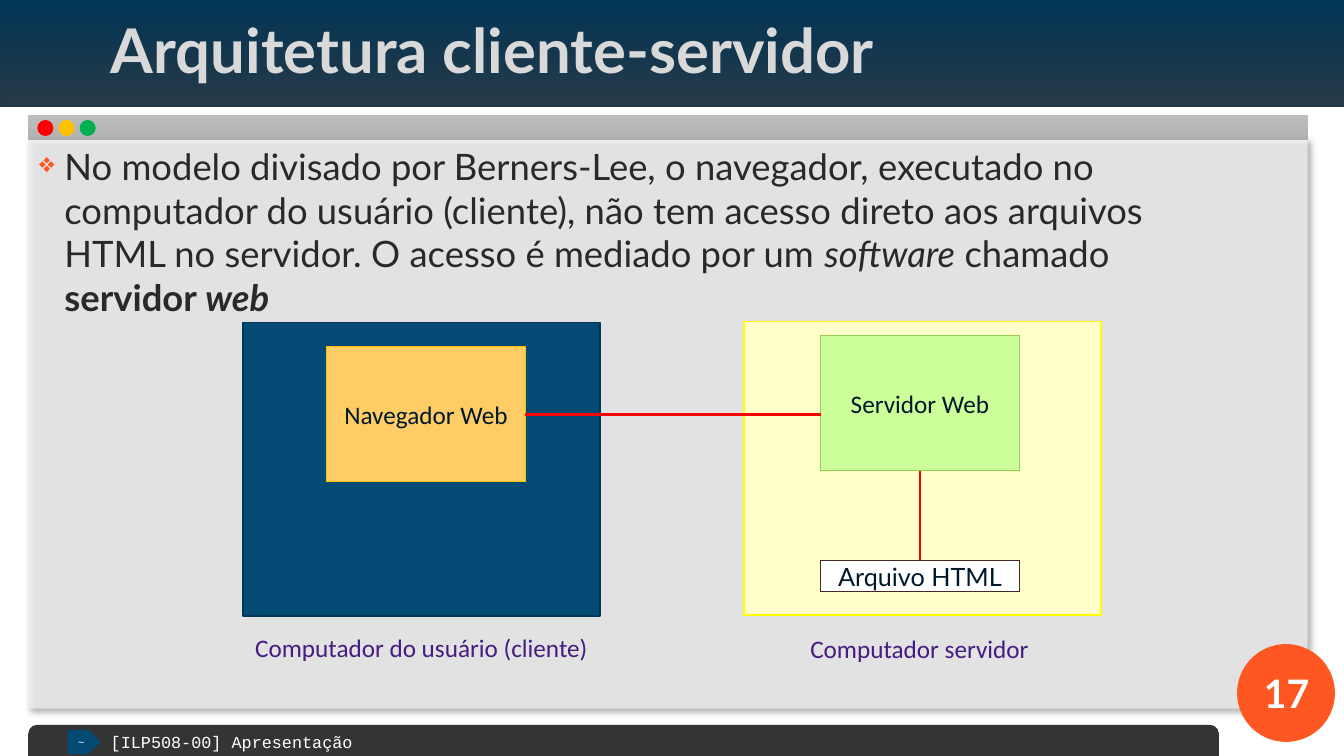
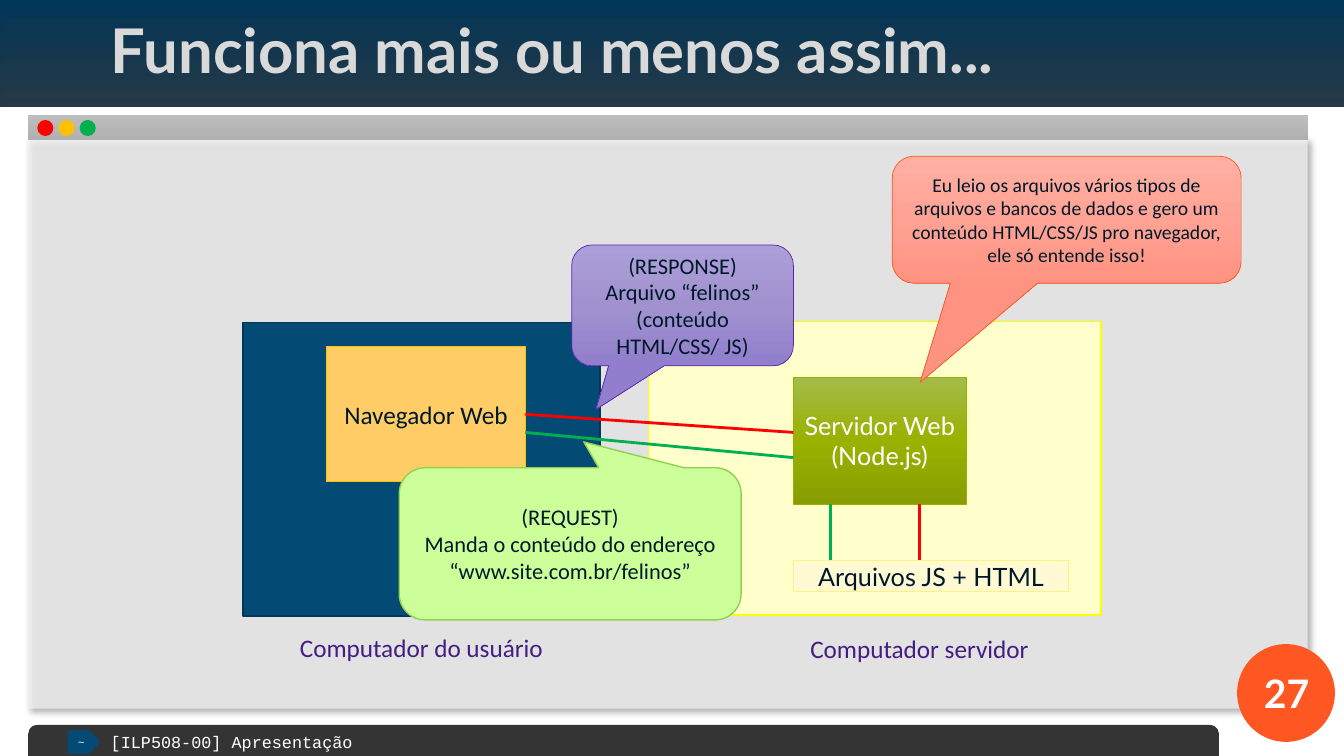
import dataclasses

import lxml.etree
import pptx
import pptx.dml.color
import pptx.enum.shapes
import pptx.enum.text
import pptx.oxml.ns
import pptx.util

Inches = pptx.util.Inches
Pt = pptx.util.Pt
qn = pptx.oxml.ns.qn
KIND = pptx.enum.shapes.MSO_SHAPE
ALIGN = pptx.enum.text.PP_ALIGN
ANCHOR = pptx.enum.text.MSO_ANCHOR


@dataclasses.dataclass(frozen=True)
class Theme:
    # Fonts
    main: str = "Lato"
    plain: str = "Calibri"
    code: str = "Courier New"
    # Type sizes
    title: int = 44
    page: int = 28
    body: int = 26
    label: int = 18
    speech: int = 16
    note: int = 14
    foot: int = 12
    tiny: int = 8
    # Colours
    white: str = "FFFFFF"
    ink: str = "001929"
    text: str = "292929"
    light: str = "D9D9D9"
    pane: str = "F2F2F2"
    dark: str = "111111"
    navy: str = "034A75"
    edge: str = "023757"
    accent: str = "FF5722"
    purple: str = "441C82"
    red: str = "FF0000"
    amber: str = "FFC000"
    green: str = "00B050"
    cream: str = "FFFFCC"
    yellow: str = "FFFF00"
    orange: str = "FFCC66"
    lime: str = "CCFF99"
    leaf: str = "92D050"
    brown: str = "44281F"
    butter: str = "FFFAD3"
    gold: str = "FFF17A"
    olive: str = "99B200"
    violet: str = "5B25AE"
    # Gradients: position, colour and, where needed, opacity
    band: tuple = ((0, "003658"), (100, "001929", 85))
    bar: tuple = ((0, "BFBFBF"), (100, "A6A6A6", 85))
    moss: tuple = ((0, "A4BB4B"), (50, "99B200"), (100, "889E00"))
    coral: tuple = ((0, "FFB0A3"), (50, "FFA294"), (100, "FF9381"))
    lilac: tuple = ((0, "AC9FD9"), (50, "A192CF"), (100, "917ECC"))


T = Theme()


# Basic helpers
def rgb(code):
    return pptx.dml.color.RGBColor.from_string(code)


def apply(item, values):
    for name, value in values.items():
        setattr(item, name, value)


def node(parent, tag, **values):
    child = lxml.etree.SubElement(parent, qn(tag))
    for name, value in values.items():
        child.set(name, str(value))
    return child


def tint(parent, code, alpha=100):
    color = node(parent, "a:srgbClr", val=code)
    if alpha < 100:
        node(color, "a:alpha", val=alpha * 1000)


def style(font, size, color, face=T.main, **more):
    apply(font, {"size": Pt(size), "name": face, **more})
    font.color.rgb = rgb(color)


def blend(shape, stops):
    shape.fill.gradient()
    shape.fill.gradient_angle = 270
    area = shape._element.spPr.find(qn("a:gradFill")).find(qn("a:gsLst"))
    for old in list(area):
        area.remove(old)
    for place, *color in stops:
        tint(node(area, "a:gs", pos=place * 1000), *color)


def shade(shape, angle):
    effect = shape._element.spPr.find(qn("a:effectLst"))
    drop = node(effect, "a:outerShdw", blurRad=Pt(4), dist=Pt(3),
                dir=angle * 60000, algn="t", rotWithShape=0)
    tint(drop, "000000", 40)


# Kinds of element
def write(shape, lines, size, color, face=T.main, align=ALIGN.CENTER, **more):
    frame = shape.text_frame
    apply(frame, {"word_wrap": True, "vertical_anchor": ANCHOR.MIDDLE})
    for i, line in enumerate(lines):
        para = frame.add_paragraph() if i else frame.paragraphs[0]
        para.alignment = align
        run = para.add_run()
        run.text = line
        style(run.font, size, color, face, **more)


def label(slide, at, line, size, color, face=T.main, **more):
    box = slide.shapes.add_textbox(*map(Inches, at))
    write(box, [line], size, color, face, **more)


def block(slide, kind, at, fill, line=None, width=1, alpha=100, adjust=()):
    shape = slide.shapes.add_shape(kind, *map(Inches, at))
    shape.shadow.inherit = False
    for i, value in enumerate(adjust):
        shape.adjustments[i] = value
    if isinstance(fill, tuple):
        blend(shape, fill)
    else:
        shape.fill.solid()
        shape.fill.fore_color.rgb = rgb(fill)
        if alpha < 100:
            color = shape._element.spPr.find(qn("a:solidFill"))[0]
            node(color, "a:alpha", val=alpha * 1000)
    if line:
        shape.line.color.rgb = rgb(line)
        shape.line.width = Pt(width)
    else:
        shape.line.fill.background()
    return shape


def box(slide, at, fill, line, lines, face=T.plain, color=T.ink, width=1):
    shape = block(slide, KIND.RECTANGLE, at, fill, line, width)
    write(shape, lines, T.label, color, face)
    return shape


def bubble(slide, at, tip, fill, line, width, size, lines):
    shape = block(slide, KIND.ROUNDED_RECTANGULAR_CALLOUT, at, fill, line,
                  width, adjust=(*tip, 0.17))
    write(shape, lines, size, T.ink, T.plain)


def link(slide, start, end, color, tail=None, head=None):
    """Draw a line; tail and head are (shape, side) pairs to join."""
    line = slide.shapes.add_connector(
        pptx.enum.shapes.MSO_CONNECTOR.STRAIGHT, *map(Inches, start + end))
    line.line.color.rgb = rgb(color)
    line.line.width = Pt(2)
    node(line._element.spPr, "a:effectLst")
    if tail:
        line.begin_connect(*tail)
    if head:
        line.end_connect(*head)


def bullet(slide, at, runs):
    frame = slide.shapes.add_textbox(*map(Inches, at)).text_frame
    frame.word_wrap = True
    para = frame.paragraphs[0]
    props = para._p.get_or_add_pPr()
    apply_indent = {"marL": Inches(0.25), "indent": Inches(-0.25)}
    for name, value in apply_indent.items():
        props.set(name, str(value))
    tint(node(props, "a:buClr"), T.accent)
    node(props, "a:buSzPct", val=75000)
    node(props, "a:buChar", char="❖")
    for words, form in runs:
        run = para.add_run()
        run.text = words
        style(run.font, T.body, T.text, **form)


# Parts shared by both slides
def start(deck, title, page):
    slide = deck.slides.add_slide(deck.slide_layouts[5])
    # Window
    shade(block(slide, KIND.RECTANGLE, (0.28, 1.38, 12.69, 5.65),
                T.pane, alpha=75), 45)
    block(slide, KIND.RECTANGLE, (0.28, 1.15, 12.69, 0.23), T.bar)
    for i, color in enumerate((T.red, T.amber, T.green)):
        block(slide, KIND.OVAL, (0.37 + 0.21 * i, 1.19, 0.16, 0.16), color)
    # Title band
    shade(block(slide, KIND.RECTANGLE, (0, 0, 13.33, 1.06), T.band), 90)
    head = slide.shapes.title
    slide.shapes._spTree.append(head._element)
    places = zip(("left", "top", "width", "height"), (1, 0, 11.89, 1.07))
    apply(head, {name: Inches(value) for name, value in places})
    write(head, [title], T.title, T.light, align=ALIGN.LEFT, bold=True)
    head.text_frame.auto_size = pptx.enum.text.MSO_AUTO_SIZE.NONE
    head.text_frame.paragraphs[0].line_spacing = 0.9
    # Footer and page number
    block(slide, KIND.ROUND_2_SAME_RECTANGLE, (0.28, 7.19, 11.81, 0.31),
          T.dark, alpha=85, adjust=(0.29, 0))
    tag = block(slide, KIND.PENTAGON, (0.67, 7.24, 0.33, 0.24), T.navy)
    write(tag, ["~"], T.tiny, T.white, T.code)
    block(slide, KIND.OVAL, (12.27, 6.39, 0.97, 0.97), T.accent)
    label(slide, (1, 7.24, 10.46, 0.24), "[ILP508-00] Apresentação",
          T.foot, T.white, T.code, align=ALIGN.LEFT)
    label(slide, (12.32, 6.67, 0.88, 0.4), page, T.page, T.white, bold=True)
    return slide


def hosts(slide, client, left):
    """Draw both computers and return the browser box."""
    block(slide, KIND.RECTANGLE, (2.41, 3.2, 3.54, 2.91), T.navy, T.edge)
    block(slide, KIND.RECTANGLE, (left, 3.19, 10.92 - left, 2.91),
          T.cream, T.yellow)
    for at, words in (((2.41, 6.19), client),
                      ((7.35, 6.2), "Computador servidor")):
        label(slide, at + (3.54, 0.47), words, T.label, T.purple, T.plain)
    return box(slide, (3.24, 3.44, 1.97, 1.34), T.orange, T.amber,
               ["Navegador Web"])


# Slides
def model(deck):
    slide = start(deck, "Arquitetura cliente-servidor", "17")
    bullet(slide, (0.29, 1.38, 12.03, 1.8), (
        ("No modelo divisado por Berners-Lee, o navegador, executado no "
         "computador do usuário (cliente), não tem acesso direto aos arquivos "
         "HTML no servidor. O acesso é mediado por um ", {}),
        ("software", {"italic": True}),
        (" chamado ", {}),
        ("servidor ", {"bold": True}),
        ("web", {"bold": True, "italic": True})))
    client = hosts(slide, "Computador do usuário (cliente)", 7.38)
    server = box(slide, (8.14, 3.33, 1.97, 1.34), T.lime, T.leaf,
                 ["Servidor Web"])
    file = box(slide, (8.14, 5.56, 1.97, 0.31), T.white, T.brown,
               ["Arquivo HTML"], T.main)
    link(slide, (9.12, 5.56), (9.12, 4.67), T.red, (file, 0), (server, 2))
    link(slide, (5.21, 4.11), (8.14, 4.11), T.red, (client, 3))


def flow(deck):
    slide = start(deck, "Funciona mais ou menos assim...", "27")
    client = hosts(slide, "Computador do usuário", 6.43)
    box(slide, (7.87, 5.56, 2.73, 0.31), T.butter, T.gold,
        ["Arquivos JS + HTML"], T.main)
    box(slide, (7.87, 3.74, 1.71, 1.26), T.moss, T.olive,
        ["Servidor Web", "(Node.js)"], T.main, T.white, 0.5)
    # Request in green, response in red
    link(slide, (5.21, 4.11), (7.87, 4.29), T.red, (client, 3))
    link(slide, (5.21, 4.29), (7.87, 4.54), T.green)
    for x, color in ((8.24, T.green), (9.12, T.red)):
        link(slide, (x, 5.56), (x, 5), color)
    # Speech bubbles
    bubble(slide, (3.96, 4.64, 3.39, 1.51), (0.04, -0.67), T.lime, T.leaf, 1,
           T.speech, ["(REQUEST)", "Manda o conteúdo do endereço "
                      "“www.site.com.br/felinos”"])
    bubble(slide, (8.85, 1.55, 3.46, 1.26), (-0.42, 1.28), T.coral, T.accent,
           0.5, T.note, ["Eu leio os arquivos vários tipos de arquivos e "
                         "bancos de dados e gero um conteúdo HTML/CSS/JS pro "
                         "navegador, ele só entende isso!"])
    bubble(slide, (5.67, 2.43, 2.2, 1.2), (-0.39, 0.86), T.lilac, T.violet,
           0.5, T.speech, ["(RESPONSE)",
                           "Arquivo “felinos” (conteúdo HTML/CSS/ JS)"])


def main():
    deck = pptx.Presentation()
    apply(deck, {"slide_width": Inches(13.33), "slide_height": Inches(7.5)})
    model(deck)
    flow(deck)
    deck.save("out.pptx")


if __name__ == "__main__":
    main()
